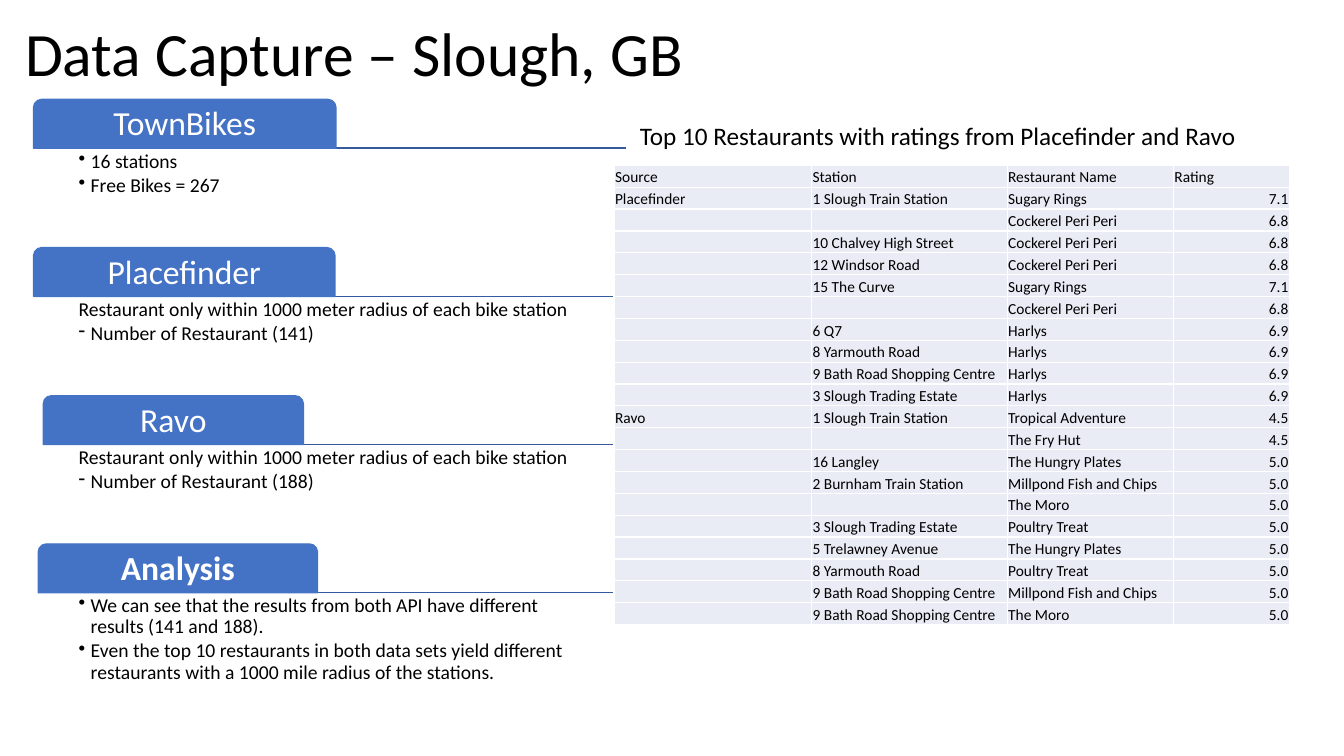
from typing import NamedTuple

from lxml import etree
from pptx import Presentation
from pptx import util as u
from pptx.dml.color import RGBColor
from pptx.enum import shapes, text
from pptx.oxml import ns

FONT = "Calibri"
BLACK = RGBColor(0x00, 0x00, 0x00)
WHITE = RGBColor(0xFF, 0xFF, 0xFF)
BLUE = RGBColor(0x44, 0x72, 0xC4)
RULE_BLUE = RGBColor(0x36, 0x5B, 0x9D)
CELL_FILL = RGBColor(0xE9, 0xEB, 0xF5)

SLIDE_WIDTH, SLIDE_HEIGHT = u.Inches(13.33), u.Inches(7.5)
GRID_COLUMNS, GRID_ROWS = 160, 90
SECTION_PITCH = 17.64
TAB_HEIGHT = 5.8
RULE_LENGTH = 60.48
TABLE_COLUMNS = (23.52, 23.28, 19.8, 13.8)
TABLE_HEIGHT = 54.7


class Item(NamedTuple):
    words: str
    bullet: str = ""


class Section(NamedTuple):
    heading: str
    tab_left: float
    tab_width: float
    rule_left: float
    items: tuple[Item, ...]
    bold: bool = False


RADIUS = Item("Restaurant only within 1000 meter radius of each bike station")
SECTIONS = (
    Section("TownBikes", 4, 36, 14.04,
            (Item("16 stations", "•"), Item("Free Bikes = 267", "•"))),
    Section("Placefinder", 4, 35.88, 14.04,
            (RADIUS, Item("Number of Restaurant (141)", "-"))),
    Section("Ravo", 5.16, 30.96, 12.84,
            (RADIUS, Item("Number of Restaurant (188)", "-"))),
    Section("Analysis", 4.56, 33.24, 13.44, (
        Item("We can see that the results from both API have different "
             "results (141 and 188).", "•"),
        Item("Even the top 10 restaurants in both data sets yield different "
             "restaurants with a 1000 mile radius of the stations.", "•")), True),
)

RESTAURANTS = (
    ("Source", "Station", "Restaurant Name", "Rating"),
    ("Placefinder", "1 Slough Train Station", "Sugary Rings", "7.1"),
    ("", "", "Cockerel Peri Peri", "6.8"),
    ("", "10 Chalvey High Street", "Cockerel Peri Peri", "6.8"),
    ("", "12 Windsor Road", "Cockerel Peri Peri", "6.8"),
    ("", "15 The Curve", "Sugary Rings", "7.1"),
    ("", "", "Cockerel Peri Peri", "6.8"),
    ("", "6 Q7", "Harlys", "6.9"),
    ("", "8 Yarmouth Road", "Harlys", "6.9"),
    ("", "9 Bath Road Shopping Centre", "Harlys", "6.9"),
    ("", "3 Slough Trading Estate", "Harlys", "6.9"),
    ("Ravo", "1 Slough Train Station", "Tropical Adventure", "4.5"),
    ("", "", "The Fry Hut", "4.5"),
    ("", "16 Langley", "The Hungry Plates", "5.0"),
    ("", "2 Burnham Train Station", "Millpond Fish and Chips", "5.0"),
    ("", "", "The Moro", "5.0"),
    ("", "3 Slough Trading Estate", "Poultry Treat", "5.0"),
    ("", "5 Trelawney Avenue", "The Hungry Plates", "5.0"),
    ("", "8 Yarmouth Road", "Poultry Treat", "5.0"),
    ("", "9 Bath Road Shopping Centre", "Millpond Fish and Chips", "5.0"),
    ("", "9 Bath Road Shopping Centre", "The Moro", "5.0"),
)


def across(columns: float) -> u.Emu:
    return u.Emu(round(SLIDE_WIDTH * columns / GRID_COLUMNS))


def down(rows: float) -> u.Emu:
    return u.Emu(round(SLIDE_HEIGHT * rows / GRID_ROWS))


def add_run(paragraph, words: str, size: float, color: RGBColor = BLACK,
            bold: bool = False) -> None:
    run = paragraph.add_run()
    run.text = words
    run.font.name = FONT
    run.font.size = u.Pt(size)
    run.font.bold = bold
    run.font.color.rgb = color


def set_margins(frame, inches: float) -> None:
    frame.margin_left = frame.margin_right = u.Inches(inches)
    frame.margin_top = frame.margin_bottom = u.Inches(inches)


def add_text_box(slide, left: float, top: float, width: float, height: float):
    """Add a wrapping text box and return its text frame."""
    box = slide.shapes.add_textbox(across(left), down(top), across(width), down(height))
    box.text_frame.word_wrap = True
    return box.text_frame


def add_rule(slide, section: Section, top: float) -> None:
    rule = slide.shapes.add_connector(
        shapes.MSO_CONNECTOR.STRAIGHT, across(section.rule_left), down(top),
        across(section.rule_left + RULE_LENGTH), down(top))
    rule.line.color.rgb = RULE_BLUE
    rule.line.width = u.Pt(1)
    etree.SubElement(rule.element.spPr, ns.qn("a:effectLst"))


def add_tab(slide, section: Section, bottom: float) -> None:
    tab = slide.shapes.add_shape(
        shapes.MSO_SHAPE.ROUND_2_SAME_RECTANGLE, across(section.tab_left),
        down(bottom - TAB_HEIGHT), across(section.tab_width), down(TAB_HEIGHT))
    tab.shadow.inherit = False
    tab.fill.solid()
    tab.fill.fore_color.rgb = BLUE
    tab.line.color.rgb = BLUE
    tab.line.width = u.Pt(1)
    frame = tab.text_frame
    set_margins(frame, 0.05)
    frame.vertical_anchor = text.MSO_ANCHOR.MIDDLE
    paragraph = frame.paragraphs[0]
    paragraph.alignment = text.PP_ALIGN.CENTER
    paragraph.line_spacing = 0.9
    add_run(paragraph, section.heading, 24, WHITE, section.bold)


def add_items(slide, items: tuple[Item, ...], top: float) -> None:
    frame = add_text_box(slide, 9, top, 60.48, 11.64)
    set_margins(frame, 0.03)
    for index, item in enumerate(items):
        paragraph = frame.add_paragraph() if index else frame.paragraphs[0]
        paragraph.level = 1
        paragraph.line_spacing = 0.9
        paragraph.space_after = u.Pt(2.1)
        properties = paragraph._p.get_or_add_pPr()
        properties.set("marL", str(u.Inches(0.12)))
        properties.set("indent", str(-u.Inches(0.12)))
        if item.bullet:
            etree.SubElement(properties, ns.qn("a:buChar"), char=item.bullet)
        else:
            etree.SubElement(properties, ns.qn("a:buNone"))
        add_run(paragraph, item.words, 14)


def add_borders(cell) -> None:
    properties = cell._tc.get_or_add_tcPr()
    for side in ("lnL", "lnR", "lnT", "lnB"):
        line = etree.SubElement(properties, ns.qn(f"a:{side}"), w=str(u.Pt(1)))
        fill = etree.SubElement(line, ns.qn("a:solidFill"))
        etree.SubElement(fill, ns.qn("a:srgbClr"), val=str(WHITE))


def fill_cell(cell, words: str, align_right: bool) -> None:
    add_borders(cell)
    cell.fill.solid()
    cell.fill.fore_color.rgb = CELL_FILL
    cell.margin_left = cell.margin_right = cell.margin_top = u.Inches(0.01)
    cell.margin_bottom = 0
    cell.vertical_anchor = text.MSO_ANCHOR.BOTTOM
    paragraph = cell.text_frame.paragraphs[0]
    if align_right:
        paragraph.alignment = text.PP_ALIGN.RIGHT
    if words:
        add_run(paragraph, words, 11)
    else:
        etree.SubElement(paragraph._p, ns.qn("a:endParaRPr"), sz="1100")


def add_restaurant_table(slide) -> None:
    table = slide.shapes.add_table(
        len(RESTAURANTS), len(TABLE_COLUMNS), across(73.1), down(19.68),
        across(sum(TABLE_COLUMNS)), down(TABLE_HEIGHT)).table
    table.first_row = table.horz_banding = False
    for column, width in zip(table.columns, TABLE_COLUMNS):
        column.width = across(width)
    for row_index, record in enumerate(RESTAURANTS):
        for column_index, words in enumerate(record):
            is_rating = row_index > 0 and column_index == len(record) - 1
            fill_cell(table.cell(row_index, column_index), words, is_rating)


def main() -> None:
    presentation = Presentation()
    presentation.slide_width, presentation.slide_height = SLIDE_WIDTH, SLIDE_HEIGHT
    slide = presentation.slides.add_slide(presentation.slide_layouts[6])

    title = add_text_box(slide, 1.8, 0.96, 138, 11.64)
    title.vertical_anchor = text.MSO_ANCHOR.MIDDLE
    title.paragraphs[0].line_spacing = 0.9
    add_run(title.paragraphs[0], "Data Capture – Slough, GB", 44)

    for number, section in enumerate(SECTIONS, start=1):
        baseline = number * SECTION_PITCH
        add_rule(slide, section, baseline)
        add_tab(slide, section, baseline)
        add_items(slide, section.items, baseline)

    add_restaurant_table(slide)
    caption = add_text_box(slide, 75, 13.68, 85, 4.8)
    add_run(caption.paragraphs[0],
            "Top 10 Restaurants with ratings from Placefinder and Ravo", 18)
    presentation.save("out.pptx")


if __name__ == "__main__":
    main()
